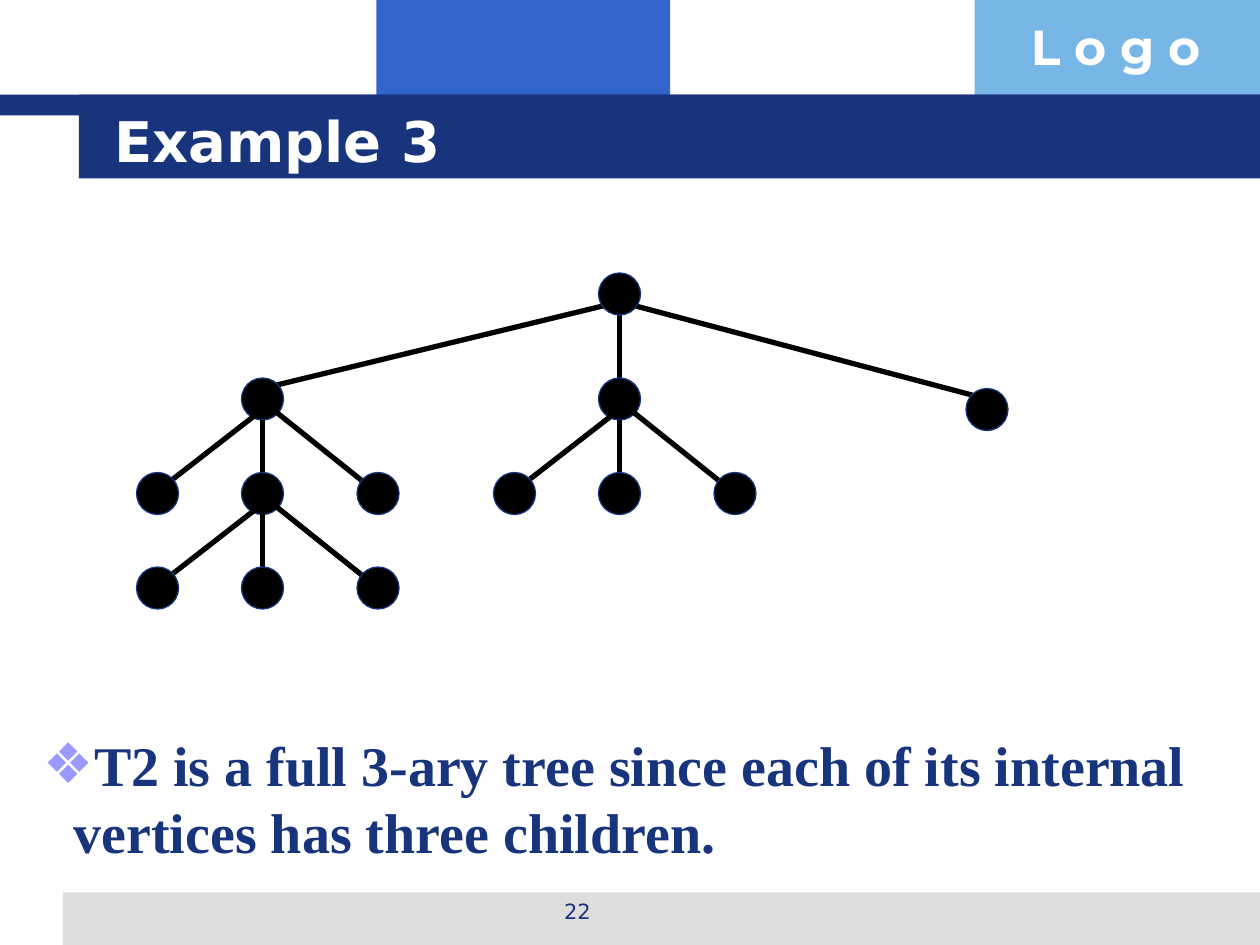
"""Build the slide on a full 3-ary tree."""
from lxml import etree
from pptx import Presentation
from pptx import util as u
from pptx.dml.color import RGBColor
from pptx.enum import shapes, text
from pptx.oxml.ns import qn

HUES = {"navy": "17347D", "blue": "3366CC", "sky": "77B7E7", "gray": "DDDDDD",
        "lilac": "9999FF", "black": "000000", "white": "FFFFFF"}
SANS, SERIF, LOGO = "DejaVu Sans", "Times New Roman", "Montserrat"
LEFT, MID = text.PP_ALIGN.LEFT, text.PP_ALIGN.CENTER
BARS = [(215, 0, 168, 66, "blue"), (557, 0, 163, 66, "sky"),
        (36, 510, 684, 30, "gray"), (0, 54, 720, 12, "navy"),
        (45, 54, 675, 48, "navy")]
ROOT = (342, 156)
KIDS = [(138, 216), (342, 216), (552, 222)]
FANS = [(138, 216), (138, 270), (342, 216)]


def hue(name):
    return RGBColor.from_string(HUES[name])


class Pen:
    """Hold the style and the current slide."""

    def __init__(self, deck):
        self.slide = deck.slides.add_slide(deck.slide_layouts[5])
        self.shapes = self.slide.shapes

    def shape(self, kind, box, fill, line=None):
        item = self.shapes.add_shape(kind, *map(u.Pt, box))
        item.shadow.inherit = False
        item.fill.solid()
        item.fill.fore_color.rgb = hue(fill)
        if line:
            item.line.color.rgb = hue(line)
            item.line.width = u.Pt(0.75)
        else:
            item.line.fill.background()

    def bar(self, x, y, w, h, fill):
        self.shape(shapes.MSO_SHAPE.RECTANGLE, (x, y, w, h), fill)

    def node(self, x, y):
        self.shape(shapes.MSO_SHAPE.OVAL, (x, y, 24, 24), "black", "navy")

    def edge(self, *ends):
        item = self.shapes.add_connector(shapes.MSO_CONNECTOR.STRAIGHT,
                                         *map(u.Pt, ends))
        item.line.color.rgb = hue("black")
        item.line.width = u.Pt(3)
        props = item.element.find(qn("p:spPr"))
        etree.SubElement(props, qn("a:effectLst"))

    def fan(self, x, y):
        for tail, head, step in [((12, 18), (-42, 60), -60),
                                 ((12, 24), (12, 60), 0),
                                 ((18, 18), (78, 66), 66)]:
            self.edge(x + tail[0], y + tail[1], x + head[0], y + head[1])
            self.node(x + step, y + 54)

    def fill(self, item, words, size, font, color, bold=True, align=LEFT):
        frame = item.text_frame
        frame.word_wrap = True
        frame.text = words
        para = frame.paragraphs[0]
        para.alignment = align
        face = para.runs[0].font
        face.name, face.size, face.bold = font, u.Pt(size), bold
        face.color.rgb = hue(color)
        return para

    def label(self, box, *style, **more):
        item = self.shapes.add_textbox(*map(u.Pt, box))
        return self.fill(item, *style, **more)

    def title(self, box, *style):
        item = self.shapes.title
        item.left, item.top, item.width, item.height = map(u.Pt, box)
        self.fill(item, *style)
        item.text_frame.auto_size = text.MSO_AUTO_SIZE.NONE
        item.text_frame.vertical_anchor = text.MSO_ANCHOR.MIDDLE
        self.shapes.element.append(item.element)

    def bullet(self, box, *style):
        props = self.label(box, *style)._p.get_or_add_pPr()
        props.set("marL", str(u.Pt(17)))
        props.set("indent", str(-u.Pt(17)))
        tint = etree.SubElement(props, qn("a:buClr"))
        etree.SubElement(tint, qn("a:srgbClr"), val=HUES["lilac"])
        etree.SubElement(props, qn("a:buFont"), typeface=SANS)
        etree.SubElement(props, qn("a:buChar"), char="❖")


def main():
    deck = Presentation()
    deck.slide_width, deck.slide_height = u.Pt(720), u.Pt(540)
    pen = Pen(deck)
    for bar in BARS:
        pen.bar(*bar)
    pen.label((582, 6, 138, 41), "L o g o", 28, LOGO, "white")
    pen.label((246, 510, 168, 25), "22", 12, SANS, "navy",
              bold=False, align=MID)
    pen.title((58, 58, 614, 44), "Example 3", 32, SANS, "white")
    pen.bullet((18, 414, 690, 84),
               "T2 is a full 3-ary tree since each of its internal "
               "vertices has three children.", 32, SERIF, "navy")
    x, y = ROOT
    for step, (left, top) in zip((6, 12, 18), KIDS):
        pen.edge(x + step, y + 18, left + 12, top + 6)
    for spot in [ROOT] + KIDS:
        pen.node(*spot)
    for spot in FANS:
        pen.fan(*spot)
    deck.save("out.pptx")


if __name__ == "__main__":
    main()
